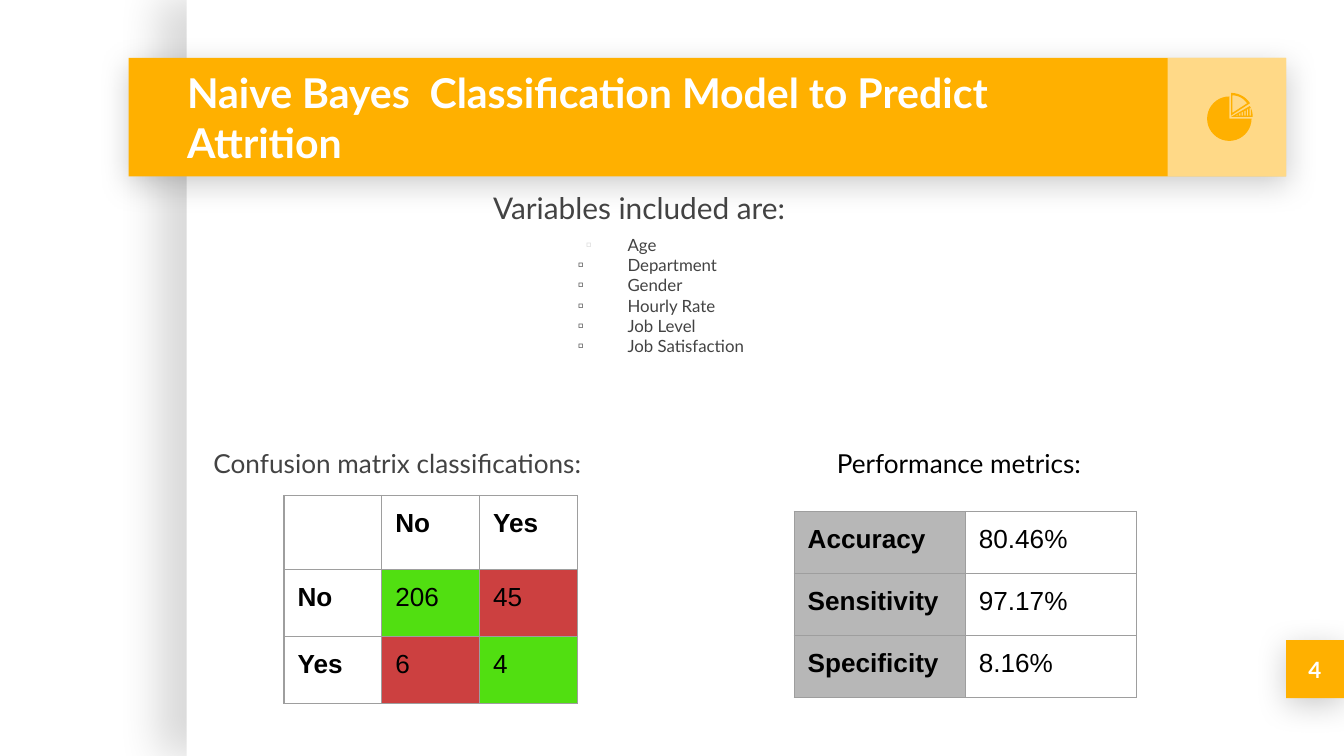
from math import cos, radians, sin

from lxml import etree
from pptx import Presentation
from pptx.dml.color import RGBColor
from pptx.enum.shapes import MSO_SHAPE
from pptx.enum.text import MSO_ANCHOR, MSO_AUTO_SIZE, PP_ALIGN
from pptx.oxml import parse_xml
from pptx.oxml.ns import nsdecls, qn
from pptx.util import Pt

RECT = MSO_SHAPE.RECTANGLE
TOP, MIDDLE = MSO_ANCHOR.TOP, MSO_ANCHOR.MIDDLE
LEFT, CENTER = PP_ALIGN.LEFT, PP_ALIGN.CENTER
FIXED = MSO_AUTO_SIZE.NONE
GOLD, WHITE, BLACK, DARK = "FFB000", "FFFFFF", "000000", "434343"
GREEN, RED, GRAY, EDGE, PALE = "51DF11", "CC4040", "B7B7B7", "9E9E9E", "D9D9D9"
PAD = 7.2
ITEMS = ["Age", "Department", "Gender", "Hourly Rate", "Job Level", "Job Satisfaction"]


def paint(target, color):
    """Give a fill or a font a solid colour."""
    if hasattr(target, "solid"):
        target.solid()
        target.fore_color.rgb = RGBColor.from_string(color)
    else:
        target.color.rgb = RGBColor.from_string(color)


def write(para, text, font="Lato", size=14, color=DARK, bold=False, align=LEFT, before=0):
    """Write one formatted run into a paragraph."""
    para.alignment = align
    para.space_before = Pt(before)
    run = para.add_run()
    run.text = text
    run.font.name, run.font.size, run.font.bold = font, Pt(size), bold
    paint(run.font, color)


def frame(shape, anchor=TOP):
    """Set the wrap, padding and anchor of a text frame."""
    box = shape.text_frame
    box.auto_size = FIXED
    box.word_wrap = True
    box.vertical_anchor = anchor
    box.margin_left = box.margin_right = box.margin_top = box.margin_bottom = Pt(PAD)
    return box


def place(shape, x, y, w, h):
    """Move a placeholder to the front at a given place."""
    shape.left, shape.top, shape.width, shape.height = Pt(x), Pt(y), Pt(w), Pt(h)
    tree = shape._element.getparent()
    tree.append(shape._element)


def panel(slide, x, y, w, h, color, alpha=100, shade=None):
    """Add a plain rectangle, with transparency or shadow if asked."""
    shape = slide.shapes.add_shape(RECT, Pt(x), Pt(y), Pt(w), Pt(h))
    paint(shape.fill, color)
    shape.line.fill.background()
    shape.shadow.inherit = False
    props = shape._element.spPr
    if alpha < 100:
        tone = props.find(qn("a:solidFill"))[0]
        etree.SubElement(tone, qn("a:alpha"), val=str(alpha * 1000))
    if shade:
        depth, blur, gap, turn = shade
        props.find(qn("a:effectLst")).append(parse_xml(
            f'<a:outerShdw {nsdecls("a")} blurRad="{Pt(blur)}" dist="{Pt(gap)}" '
            f'dir="{turn * 60000}" algn="bl" rotWithShape="0"><a:srgbClr val="{BLACK}">'
            f'<a:alpha val="{depth * 1000}"/></a:srgbClr></a:outerShdw>'))
    return shape


def label(slide, text, x, y, w, h, **style):
    """Add a one-line text box."""
    box = frame(slide.shapes.add_textbox(Pt(x), Pt(y), Pt(w), Pt(h)))
    write(box.paragraphs[0], text, **style)


def bullet(para, color, left=0, hang=0, char=None):
    """Set the indent and bullet of a paragraph."""
    props = para._p.get_or_add_pPr()
    props.set("marL", str(Pt(left)))
    props.set("indent", str(Pt(-hang)))
    if char:
        tone = etree.SubElement(props, qn("a:buClr"))
        etree.SubElement(tone, qn("a:srgbClr"), val=color)
        etree.SubElement(props, qn("a:buChar"), char=char)
    else:
        etree.SubElement(props, qn("a:buNone"))


def border(cell):
    """Draw a thin line on all four sides of a cell."""
    props = cell._tc.get_or_add_tcPr()
    for side in "LRTB":
        props.append(parse_xml(
            f'<a:ln{side} {nsdecls("a")} w="{Pt(0.75)}"><a:solidFill>'
            f'<a:srgbClr val="{EDGE}"/></a:solidFill></a:ln{side}>'))


def grid(slide, x, y, width, heights, rows):
    """Add a table from rows of (text, bold, fill) cells."""
    count = len(rows[0])
    table = slide.shapes.add_table(len(rows), count, Pt(x), Pt(y),
                                   Pt(width * count), Pt(sum(heights))).table
    table.first_row = table.horz_banding = False
    for col in table.columns:
        col.width = Pt(width)
    for i, row in enumerate(rows):
        table.rows[i].height = Pt(heights[i])
        for j, (text, bold, color) in enumerate(row):
            cell = table.cell(i, j)
            cell.margin_left = cell.margin_right = Pt(PAD)
            cell.margin_top = cell.margin_bottom = Pt(PAD)
            border(cell)
            if color:
                paint(cell.fill, color)
            else:
                cell.fill.background()
            if text:
                write(cell.text_frame.paragraphs[0], text, font="Arial", color=BLACK, bold=bold)


def sector(x, y, size, start, end):
    """Return the points of a pie slice."""
    turns = [radians(start + (end - start) * i / 30) for i in range(31)]
    return [(x, y)] + [(x + size * cos(t), y + size * sin(t)) for t in turns]


def draw(slide, loops):
    """Add one gold outline made of closed loops."""
    loops = [[(Pt(x), Pt(y)) for x, y in loop] for loop in loops]
    pen = slide.shapes.build_freeform(*loops[0][0], scale=1)
    pen.add_line_segments(loops[0][1:], close=True)
    for loop in loops[1:]:
        pen.move_to(*loop[0])
        pen.add_line_segments(loop[1:], close=True)
    shape = pen.convert_to_shape()
    paint(shape.fill, GOLD)
    shape.line.fill.background()
    shape.shadow.inherit = False


def icon(slide):
    """Draw the pie chart icon."""
    bars = []
    for i in range(6):
        x = 662.4 + 1.4 * i
        top = 61.6 - 0.72 * i
        bars.append([(x, top), (x + 0.7, top - 0.3), (x + 0.7, 62), (x, 62)])
    draw(slide, [sector(658.6, 63.6, 11.9, 0, 270)])
    draw(slide, [sector(659.5, 62.6, 11.6, 330, 360)] + bars)
    draw(slide, [sector(659.5, 61.9, 12.1, 270, 327), sector(660.2, 60.5, 9.4, 270, 327)])


def main():
    """Build the slide and save it."""
    deck = Presentation()
    deck.slide_width, deck.slide_height = Pt(720), Pt(405)
    slide = deck.slides.add_slide(deck.slide_layouts[1])
    title, body = slide.shapes.title, slide.placeholders[1]
    soft = (20, 16.9, 3.8, 90)

    panel(slide, 100, 0, 620, 405, WHITE, shade=(15, 22.5, 15, 180))
    page = panel(slide, 689, 343, 31, 31, GOLD, shade=soft)
    write(frame(page, MIDDLE).paragraphs[0], "4", size=12, color=WHITE, bold=True, align=CENTER)
    panel(slide, 69, 31, 620, 63.5, GOLD, shade=soft)
    panel(slide, 625.5, 31, 63.5, 63.5, WHITE, alpha=53)
    icon(slide)

    place(title, 93, 31, 531, 63.5)
    write(frame(title, MIDDLE).paragraphs[0],
          "Naive Bayes  Classification Model to Predict Attrition",
          size=22, color=WHITE, bold=True)

    grid(slide, 425.5, 274, 91.7, [33.2] * 3, [
        [(name, True, GRAY), (value, False, None)] for name, value in
        [("Accuracy", "80.46%"), ("Sensitivity", "97.17%"), ("Specificity", "8.16%")]])
    grid(slide, 152.2, 265.4, 52.4, [39.6, 36, 36], [
        [("", False, None), ("No", True, None), ("Yes", True, None)],
        [("No", True, None), ("206", False, GREEN), ("45", False, RED)],
        [("Yes", True, None), ("6", False, RED), ("4", False, GREEN)]])

    place(body, 257, 94.5, 297, 152.5)
    box = frame(body)
    write(box.paragraphs[0], "Variables included are:", size=16)
    bullet(box.paragraphs[0], DARK)
    for i, item in enumerate(ITEMS):
        para = box.add_paragraph()
        para.level = 1
        write(para, item, size=9, before=0 if i else 4.8)
        bullet(para, DARK if i else PALE, 72, 26.6 if i else 22.3, "▫")

    label(slide, "Confusion matrix classifications:", 107.3, 232.6, 237.6, 31.7)
    label(slide, "Performance metrics:", 441.2, 232.6, 152, 31.7, color=BLACK)
    deck.save("out.pptx")


if __name__ == "__main__":
    main()
